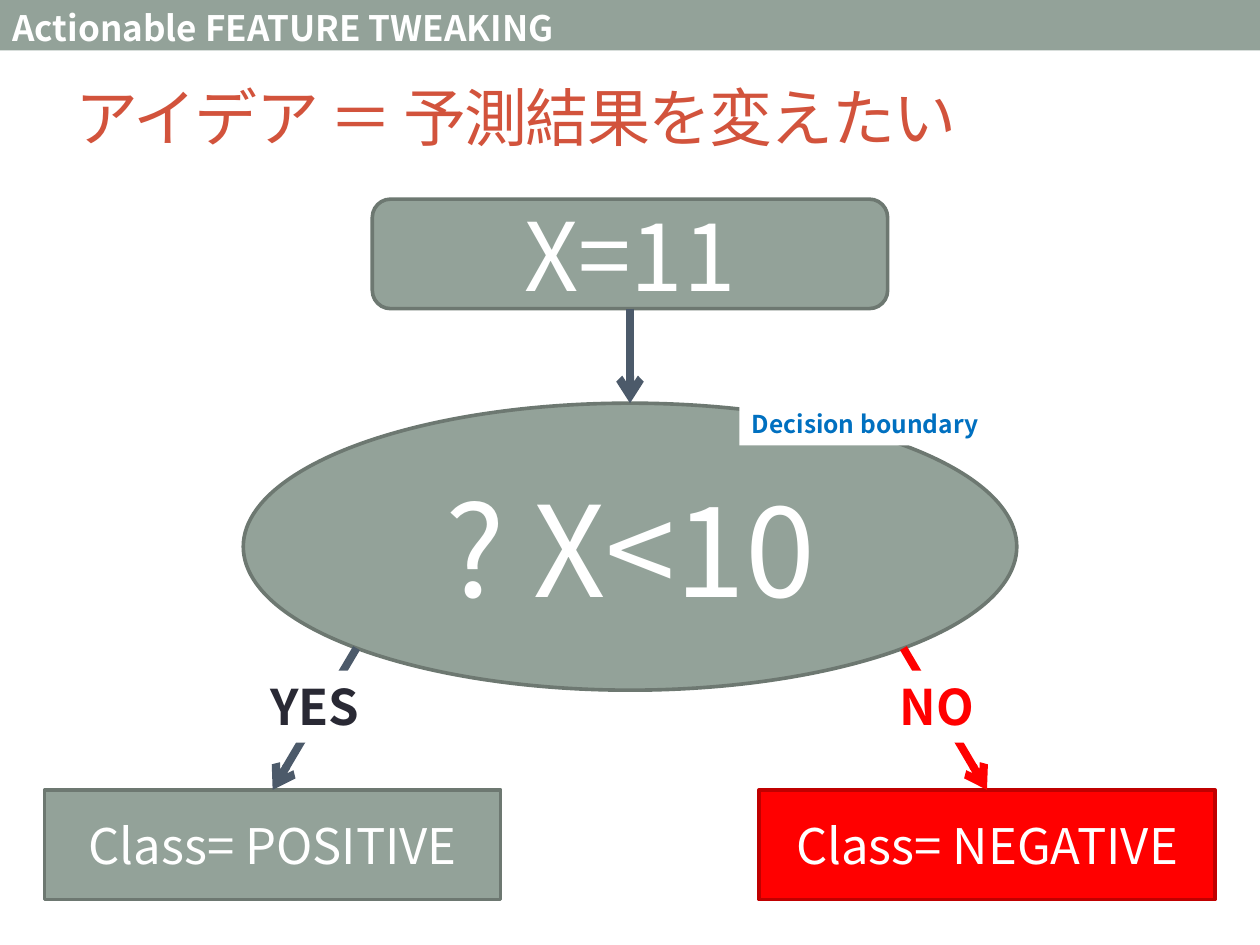
import math

from lxml import etree
from pptx import Presentation
from pptx.dml.color import RGBColor
from pptx.enum import shapes, text
from pptx.oxml import ns
from pptx.util import Pt

SAGE = RGBColor(0x93, 0xA2, 0x99)
SAGE_EDGE = RGBColor(0x6D, 0x78, 0x71)
SLATE = RGBColor(0x4C, 0x5A, 0x6A)
BRICK = RGBColor(0xD2, 0x53, 0x3C)
RED = RGBColor(0xFF, 0x00, 0x00)
DARK_RED = RGBColor(0xC0, 0x00, 0x00)
INK = RGBColor(0x29, 0x29, 0x34)
BLUE = RGBColor(0x00, 0x70, 0xC0)
WHITE = RGBColor(0xFF, 0xFF, 0xFF)

BODY_FONT, TITLE_FONT = "Noto Sans CJK JP", "Calibri"
CENTER, LEFT = text.PP_ALIGN.CENTER, text.PP_ALIGN.LEFT
TOP, MIDDLE = text.MSO_ANCHOR.TOP, text.MSO_ANCHOR.MIDDLE
RECT = shapes.MSO_SHAPE.RECTANGLE
ROUNDED = shapes.MSO_SHAPE.ROUNDED_RECTANGLE
OVAL = shapes.MSO_SHAPE.OVAL
TOP_SIDE, BOTTOM_SIDE = 0, 2

SLIDE_W, SLIDE_H = 720, 540
MID_X = SLIDE_W / 2
BOX_H = 62.6
SAMPLE_W, SAMPLE_TOP = 294.5, 113.8
TEST_W, TEST_H, TEST_TOP = 442, 164, 230.4
CLASS_W, CLASS_TOP = 260.6, 451.4
LABEL_W, LABEL_H, LABEL_TOP = 92.9, 41.2, 383.2


def add_box(kind, left, top, width, height, fill=None, edge=None):
    box = slide.shapes.add_shape(kind, Pt(left), Pt(top), Pt(width), Pt(height))
    box.shadow.inherit = False
    if fill is None:
        box.fill.background()
    else:
        box.fill.solid()
        box.fill.fore_color.rgb = fill
    if edge is None:
        box.line.fill.background()
    else:
        box.line.color.rgb = edge
        box.line.width = Pt(2.08)
    return box


def write(box, words, size, color, font=BODY_FONT, bold=False, align=CENTER,
          anchor=MIDDLE, wrap=True):
    frame = box.text_frame
    frame.word_wrap = wrap
    frame.vertical_anchor = anchor
    paragraph = frame.paragraphs[0]
    paragraph.alignment = align
    run = paragraph.add_run()
    run.text = words
    run.font.name = font
    run.font.size = Pt(size)
    run.font.bold = bold
    run.font.color.rgb = color
    return run


deck = Presentation()
deck.slide_width, deck.slide_height = Pt(SLIDE_W), Pt(SLIDE_H)
slide = deck.slides.add_slide(deck.slide_layouts[5])

title = slide.shapes.title
title.left, title.top, title.width, title.height = Pt(36), Pt(27.4), Pt(648), Pt(77.8)
headline = write(title, "アイデア ＝ 予測結果を変えたい", 36, BRICK, TITLE_FONT, align=LEFT)
headline.font._element.set("spc", "-100")

add_box(RECT, 0, 0, SLIDE_W, 28.8, SAGE)

test = add_box(OVAL, MID_X - TEST_W / 2, TEST_TOP, TEST_W, TEST_H, SAGE, SAGE_EDGE)
write(test, "? X<10", 72, WHITE)
sample = add_box(ROUNDED, MID_X - SAMPLE_W / 2, SAMPLE_TOP, SAMPLE_W, BOX_H,
                 SAGE, SAGE_EDGE)
write(sample, "X=11", 54, WHITE)

diagonal = math.sqrt(0.5)
branch_dx = TEST_W / 2 * diagonal
branch_y = TEST_TOP + TEST_H / 2 * (1 + diagonal)

arrows = [(MID_X, SAMPLE_TOP + BOX_H, MID_X, TEST_TOP, sample, None, SLATE)]
for side, class_name, class_x, fill, edge, arrow_color in (
    (-1, "Class= POSITIVE", 155.8, SAGE, SAGE_EDGE, SLATE),
    (1, "Class= NEGATIVE", 564, RED, DARK_RED, RED),
):
    outcome = add_box(RECT, class_x - CLASS_W / 2, CLASS_TOP, CLASS_W, BOX_H, fill, edge)
    write(outcome, class_name, 28, WHITE)
    arrows.append((MID_X + side * branch_dx, branch_y, class_x, CLASS_TOP,
                   None, outcome, arrow_color))

for from_x, from_y, to_x, to_y, start_box, end_box, color in arrows:
    arrow = slide.shapes.add_connector(shapes.MSO_CONNECTOR.STRAIGHT, Pt(from_x),
                                       Pt(from_y), Pt(to_x), Pt(to_y))
    if start_box is not None:
        arrow.begin_connect(start_box, BOTTOM_SIDE)
    if end_box is not None:
        arrow.end_connect(end_box, TOP_SIDE)
    arrow.line.color.rgb = color
    arrow.line.width = Pt(4.5)
    line_xml = arrow._element.spPr.find(ns.qn("a:ln"))
    etree.SubElement(line_xml, ns.qn("a:tailEnd"), type="arrow")
    etree.SubElement(arrow._element.spPr, ns.qn("a:effectLst"))

for answer, answer_x, color in (("YES", 179.8, INK), ("NO", 535.4, RED)):
    label = add_box(RECT, answer_x - LABEL_W / 2, LABEL_TOP, LABEL_W, LABEL_H, WHITE)
    write(label, answer, 28, color, bold=True, anchor=TOP)

boundary = add_box(RECT, 422.6, TEST_TOP, 153.4, 24.2, WHITE)
write(boundary, "Decision boundary", 14, BLUE, bold=True, align=LEFT, anchor=TOP, wrap=False)
topic = add_box(RECT, 0, 0, 357, 31.5)
write(topic, "Actionable FEATURE TWEAKING", 20, WHITE, bold=True, align=LEFT, anchor=TOP,
      wrap=False)

deck.save("out.pptx")
